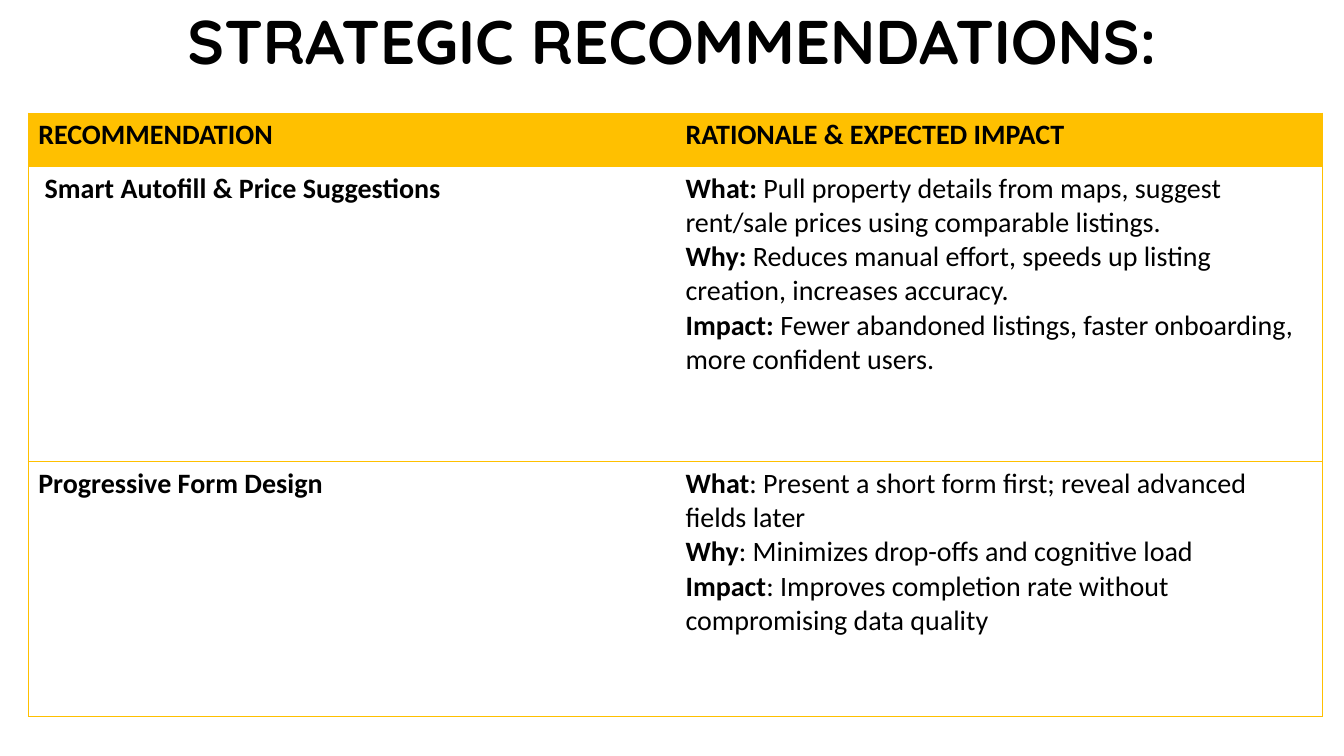
"""Build the strategic recommendations slide."""
from lxml import etree
from pptx import Presentation
from pptx.dml.color import RGBColor
from pptx.enum import text
from pptx.oxml import ns
from pptx.util import Inches, Pt

GOLD = "FFC000"
BLACK = "000000"


def paint(fill, tint):
    fill.solid()
    fill.fore_color.rgb = RGBColor.from_string(tint)


def write(para, words, face, size, bold):
    run = para.add_run()
    run.text = words
    run.font.name = face
    run.font.size = Pt(size)
    run.font.bold = bold
    paint(run.font.fill, BLACK)


deck = Presentation()
deck.slide_width = Inches(13.33)
deck.slide_height = Inches(7.5)
slide = deck.slides.add_slide(deck.slide_layouts[5])

title = slide.shapes.title
title.left, title.top = Inches(0.92), Inches(0)
title.width, title.height = Inches(11.5), Inches(0.88)
frame = title.text_frame
frame.vertical_anchor = text.MSO_ANCHOR.MIDDLE
head = frame.paragraphs[0]
head.alignment = text.PP_ALIGN.CENTER
head.line_spacing = 0.9
write(head, "STRATEGIC RECOMMENDATIONS:", "Quicksand", 44, True)

# Each cell is a list of lines; each line is a list of (words, bold).
rows = [
    [
        [[("RECOMMENDATION", True)]],
        [[("RATIONALE & EXPECTED IMPACT", True)]],
    ],
    [
        [[(" ", False), ("Smart Autofill & Price Suggestions", True)]],
        [
            [("What:", True), (" Pull property details from maps, suggest "
                               "rent/sale prices using comparable listings.", False)],
            [("Why:", True), (" Reduces manual effort, speeds up listing "
                              "creation, increases accuracy.", False)],
            [("Impact:", True), (" Fewer abandoned listings, faster onboarding, "
                                 "more confident users.", False)],
        ],
    ],
    [
        [[("Progressive Form Design", True)]],
        [
            [("What", True), (": Present a short form first; reveal advanced "
                              "fields later", False)],
            [("Why", True), (": Minimizes drop-offs and cognitive load", False)],
            [("Impact", True), (": Improves completion rate without "
                                "compromising data quality", False)],
        ],
    ],
]

table = slide.shapes.add_table(
    3, 2, Inches(0.28), Inches(1.12), Inches(12.84), Inches(5.99)).table
for col in table.columns:
    col.width = Inches(6.42)
for row, tall in zip(table.rows, (0.53, 2.93, 2.53)):
    row.height = Inches(tall)

for r, row in enumerate(rows):
    for c, lines in enumerate(row):
        cell = table.cell(r, c)
        para = cell.text_frame.paragraphs[0]
        for i, line in enumerate(lines):
            if i:
                para.add_line_break()
            for words, bold in line:
                write(para, words, "Calibri", 20, bold)

        props = cell._tc.get_or_add_tcPr()
        edges = {"lnL": c == 0, "lnR": c == 1, "lnT": True, "lnB": True}
        for edge, shown in edges.items():
            line = etree.SubElement(props, ns.qn(f"a:{edge}"), w=str(Pt(0.5)))
            if shown:
                fill = etree.SubElement(line, ns.qn("a:solidFill"))
                etree.SubElement(fill, ns.qn("a:srgbClr"), val=GOLD)
            else:
                etree.SubElement(line, ns.qn("a:noFill"))
        if r == 0:
            paint(cell.fill, GOLD)
        else:
            cell.fill.background()

deck.save("out.pptx")
